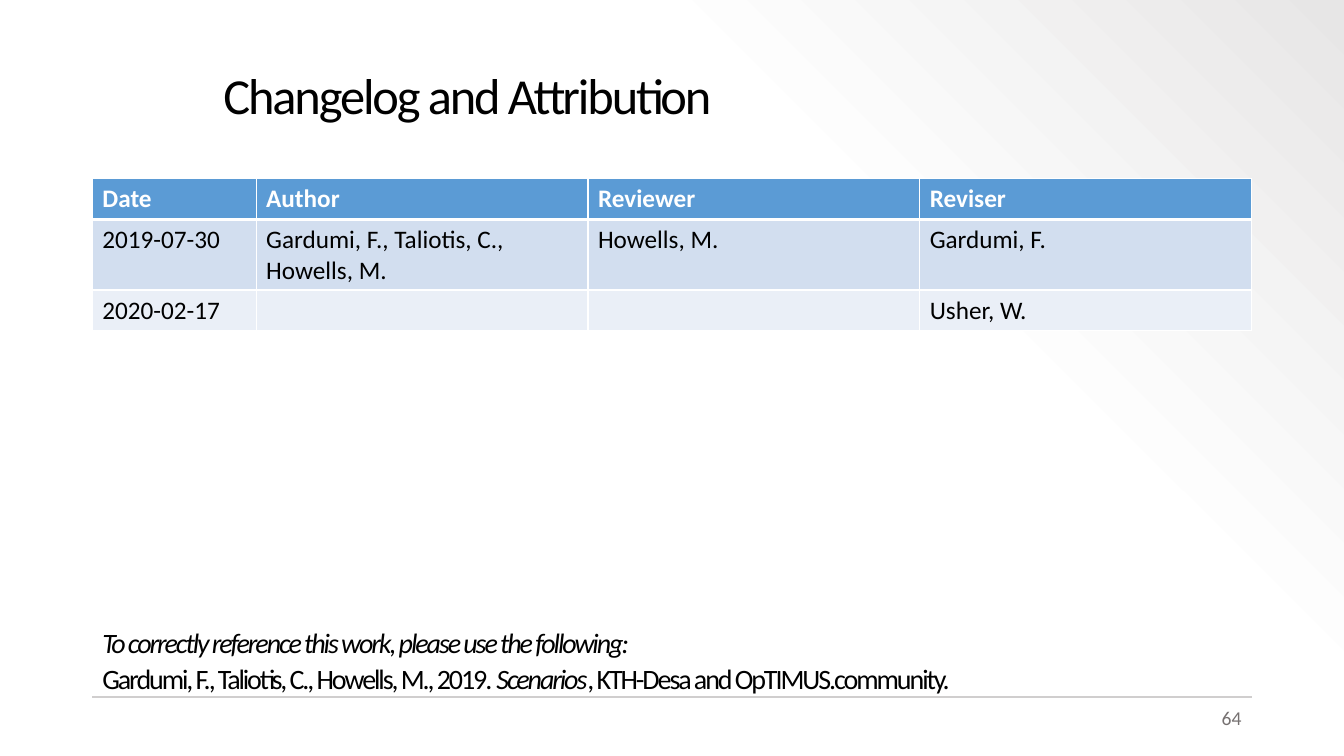
from lxml.etree import SubElement
from pptx import Presentation
from pptx.dml.color import RGBColor
from pptx.enum.shapes import MSO_CONNECTOR as Connector
from pptx.enum.text import MSO_ANCHOR as Anchor, PP_ALIGN as Align
from pptx.oxml.ns import qn
from pptx.util import Pt

LEFT, WIDTH = 66, 828
RIGHT = LEFT + WIDTH


def color(value):
    return RGBColor.from_string(value)


def add_solid(parent, value):
    SubElement(SubElement(parent, qn("a:solidFill")), qn("a:srgbClr"), val=value)


class SlideBuilder:
    font_name = "Calibri"
    black, white = "000000", "FFFFFF"
    header_fill, band_fills = "5B9BD5", ("D2DEEF", "EAEFF7")

    def __init__(self, page):
        self.page = page

    def background(self, stops, angle):
        fill = self.page.background.fill
        fill.gradient()
        fill.gradient_angle = angle
        stop_list = self.page.background._cSld.find(".//" + qn("a:gsLst"))
        for stop in list(stop_list):
            stop_list.remove(stop)
        for percent, value in stops:
            stop = SubElement(stop_list, qn("a:gs"), pos=str(percent * 1000))
            SubElement(stop, qn("a:srgbClr"), val=value)

    def style(self, para, size, value, bold=False, spacing=0):
        font = para.font
        font.name, font.size, font.bold = self.font_name, Pt(size), bold
        font.color.rgb = color(value)
        if spacing:
            para._p.pPr.find(qn("a:defRPr")).set("spc", str(int(spacing * 100)))

    def text(self, place, paragraphs, size, value=black, anchor=Anchor.TOP,
             align=Align.LEFT, line_spacing=1.0, spacing=0):
        """Each paragraph is a list of (words, italic) spans."""
        frame = self.page.shapes.add_textbox(*map(Pt, place)).text_frame
        frame.word_wrap, frame.vertical_anchor = True, anchor
        for index, spans in enumerate(paragraphs):
            para = frame.add_paragraph() if index else frame.paragraphs[0]
            para.alignment, para.line_spacing = align, line_spacing
            if index:
                para.space_before = Pt(4)
            self.style(para, size, value, spacing=spacing)
            for words, italic in spans:
                span = para.add_run()
                span.text = words
                span.font.italic = italic

    def rule(self, x1, x2, y, value, width):
        line = self.page.shapes.add_connector(Connector.STRAIGHT, *map(Pt, (x1, y, x2, y)))
        line.line.color.rgb = color(value)
        line.line.width = Pt(width)
        SubElement(line._element.spPr, qn("a:effectLst"))

    def borders(self, cell, **widths):
        for side in "LRTB":
            width = Pt(widths.get(side, 1))
            edge = SubElement(cell._tc.get_or_add_tcPr(), qn("a:ln" + side), w=str(width))
            add_solid(edge, self.white)

    def table(self, left, top, widths, row_height, rows):
        place = map(Pt, (left, top, sum(widths), row_height * len(rows)))
        table = self.page.shapes.add_table(len(rows), len(widths), *place).table
        for column, width in zip(table.columns, widths):
            column.width = Pt(width)
        for row_index, row in enumerate(rows):
            header = row_index == 0
            fill = self.header_fill if header else self.band_fills[(row_index - 1) % 2]
            for column_index, words in enumerate(row):
                cell = table.cell(row_index, column_index)
                self.borders(cell, T=3 if row_index == 1 else 1, B=3 if header else 1)
                cell.fill.solid()
                cell.fill.fore_color.rgb = color(fill)
                para = cell.text_frame.paragraphs[0]
                self.style(para, 18, self.white if header else self.black, bold=header)
                if words:
                    para.add_run().text = words


def main():
    deck = Presentation()
    deck.slide_width, deck.slide_height = Pt(960), Pt(540)
    slide = SlideBuilder(deck.slides.add_slide(deck.slide_layouts[6]))

    slide.background([(0, "FFFFFF"), (69, "FDFDFD"), (100, "E7E6E6")], angle=45)
    slide.rule(LEFT, RIGHT, 498, "D0CECE", 1.5)
    slide.text(
        (LEFT, 361.5, WIDTH, 139),
        [
            [("To correctly reference this work, please use the following:", True)],
            [("Gardumi, F., Taliotis, C., Howells, M., 2019. ", False),
             ("Scenarios", True),
             (", KTH-Desa and OpTIMUS.community.", False)],
        ],
        20, anchor=Anchor.BOTTOM, line_spacing=0.9, spacing=-1.5)
    slide.text((152.5, 26.5, RIGHT - 152.5, 88), [[("Changelog and Attribution", False)]],
               36, anchor=Anchor.MIDDLE, line_spacing=0.9, spacing=-1.5)
    slide.table(LEFT, 127.5, [117, 237, 237, 237], 29.2, [
        ["Date", "Author", "Reviewer", "Reviser"],
        ["2019-07-30", "Gardumi, F., Taliotis, C., Howells, M.", "Howells, M.", "Gardumi, F."],
        ["2020-02-17", "", "", "Usher, W."],
    ])
    slide.text((RIGHT - 216, 500.5, 216, 29), [[("64", False)]], 14, "767171",
               align=Align.RIGHT)
    deck.save("out.pptx")


if __name__ == "__main__":
    main()
